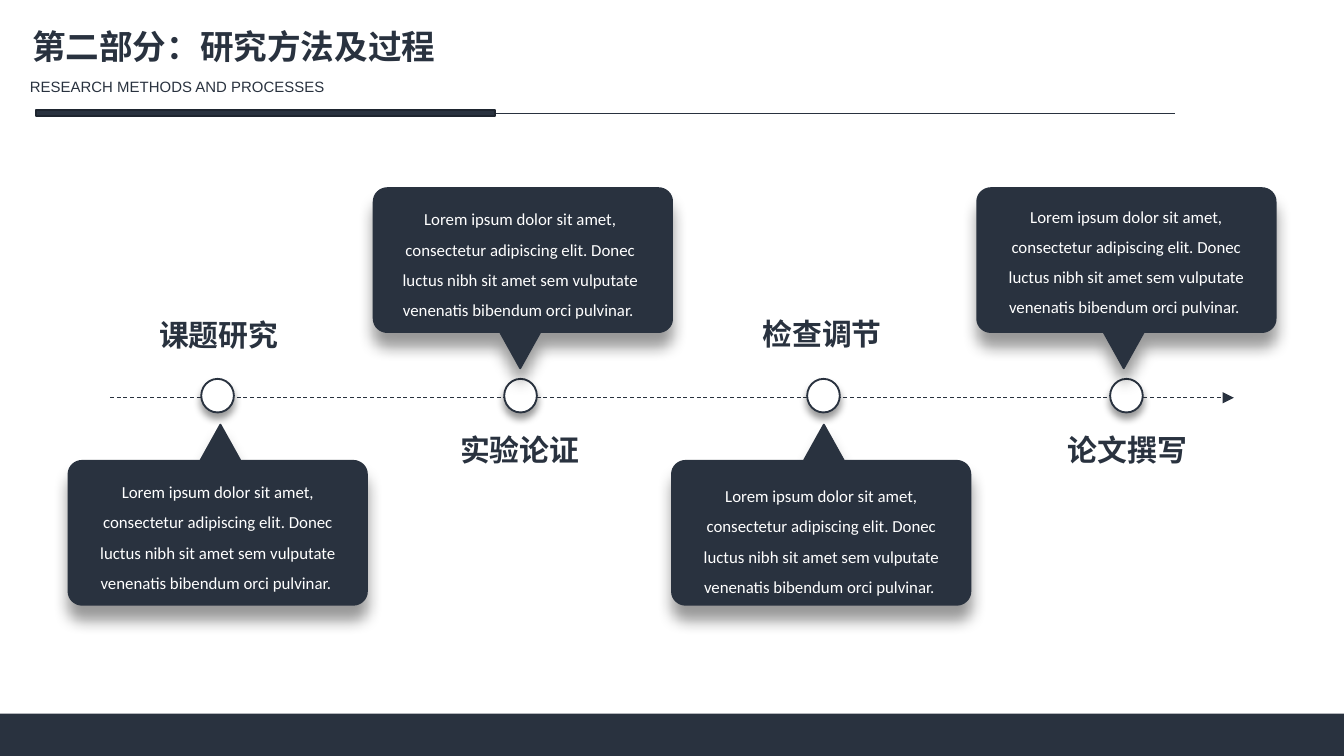
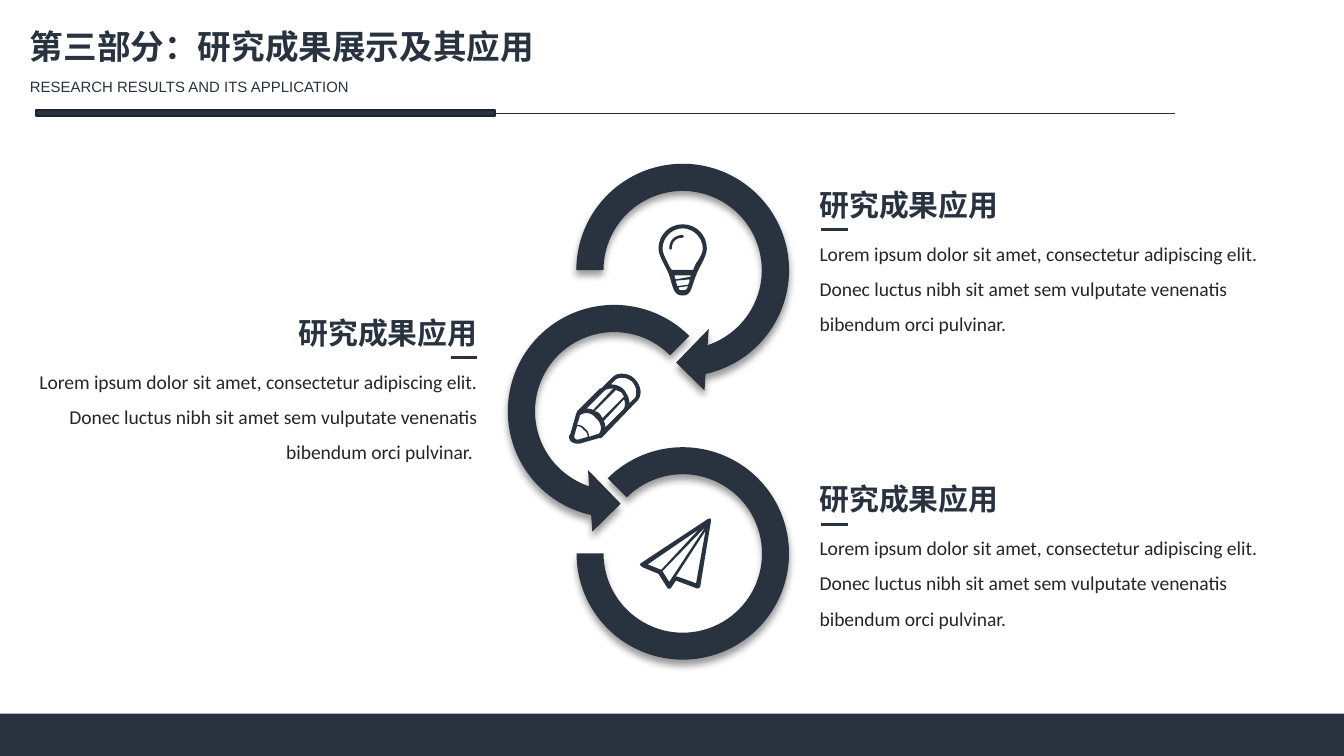
from dataclasses import dataclass
from typing import Optional

from lxml import etree
from pptx import Presentation
from pptx.dml.color import RGBColor
from pptx.enum.dml import MSO_LINE
from pptx.enum.shapes import MSO_CONNECTOR, MSO_SHAPE
from pptx.enum.text import MSO_AUTO_SIZE, PP_ALIGN
from pptx.oxml.ns import qn
from pptx.util import Pt

LEFT, CENTER, RIGHT = PP_ALIGN.LEFT, PP_ALIGN.CENTER, PP_ALIGN.RIGHT
RECTANGLE, OVAL = MSO_SHAPE.RECTANGLE, MSO_SHAPE.OVAL
CIRCULAR_ARROW = MSO_SHAPE.CIRCULAR_ARROW
LEFT_CIRCULAR_ARROW = MSO_SHAPE.LEFT_CIRCULAR_ARROW
BLOCK_ARC = MSO_SHAPE.BLOCK_ARC
STRAIGHT, DASH = MSO_CONNECTOR.STRAIGHT, MSO_LINE.DASH
GROW = MSO_AUTO_SIZE.SHAPE_TO_FIT_TEXT


@dataclass(frozen=True)
class TextStyle:
    font: str
    size: float
    color: str
    bold: bool = False
    spacing: Optional[float] = None


@dataclass(frozen=True)
class Shadow:
    blur: float
    distance: float


@dataclass(frozen=True)
class Theme:
    navy: str = "29323F"
    edge: str = "1E252F"
    white: str = "FFFFFF"
    title: TextStyle = TextStyle("Noto Sans CJK SC", 18, "29323F", True)
    subtitle: TextStyle = TextStyle("Arial", 8, "29323F")
    heading: TextStyle = TextStyle("Noto Sans CJK SC", 16, "29323F", True)
    callout: TextStyle = TextStyle("Calibri", 9, "FFFFFF", spacing=1.5)
    body: TextStyle = TextStyle("Calibri", 10.5, "262626", spacing=1.5)
    soft: Shadow = Shadow(4, 3)
    deep: Shadow = Shadow(8, 8)


@dataclass(frozen=True)
class Box:
    left: float
    top: float
    width: float
    height: float


@dataclass(frozen=True)
class Step:
    name: str
    name_left: float
    name_top: float
    text_left: float
    text_top: float


@dataclass(frozen=True)
class Ring:
    preset: int
    box: Box
    adjustments: tuple[float, ...]


@dataclass(frozen=True)
class Icon:
    left: float
    top: float
    outline: tuple[str, ...]


@dataclass(frozen=True)
class Result:
    edge: float
    top: float
    align: int
    text: str


THEME = Theme()
LOREM = ("Lorem ipsum dolor sit amet, consectetur adipiscing elit. Donec luctus nibh "
         "sit amet sem vulputate venenatis bibendum orci pulvinar.")

# Outlines: one string per contour; "x,y" is a line, "x,y:x,y:x,y" a Bézier curve
UNIT = 0.72
CURVE_STEPS = 8
CALLOUT = ("113,0 128,27 212,27 217,27:222,31:222,37 222,124 222,130:217,134:212,134 "
           "10,134 5,134:0,130:0,124 0,37 0,31:5,27:10,27 98,27",)
PLANE = (
    "42,48 28,43 27,43 49,9",
    "17,39 49,6 22,47",
    "6,34 44,8 16,38",
    "53,0 51,0 1,33 0,34 2,36 14,41 21,52 23,52 27,46 43,52 45,51 53,2",
)
PENCIL = (
    "48,19 45,22 45,18:43,15:41,12 38,9:35,8:31,8 34,5 35,4:37,3:39,3 42,3:45,4:47,6 "
    "49,8:50,11:50,13 50,15:50,18:48,19",
    "15,47 15,45:14,42:12,41 11,39:8,38:6,38 8,32 8,31 12,28:17,29:20,33 "
    "24,36:25,42:22,45 21,45",
    "7,49 6,49 5,49:4,48:4,47 4,46 6,39 8,39:10,40:11,42 13,43:14,45:14,47",
    "18,27 16,26:15,26:13,26 26,13 28,11:31,11:33,11",
    "25,33 24,32:24,31:23,30 22,29:21,28:19,28 35,12 36,13:38,13:39,14 40,15:40,16:41,17",
    "27,39 27,37:26,36:26,35 41,19 42,22:42,25:40,27 27,40",
    "49,4 46,1:43,0:39,0 36,0:34,1:32,3 24,11 23,11 6,28 6,29:5,30:5,31 1,45 "
    "1,45:0,46:0,47 0,50:3,52:6,52 7,52:8,52:8,52 22,48 23,48:24,48:25,47 50,21 "
    "55,17:54,9:49,4",
)
BULB = (
    "26,34 10,34 9,33:8,31:7,29 5,25:3,21:3,18 3,10:10,3:18,3 26,3:33,10:33,18 "
    "33,21:31,25:28,29 27,31:26,33:26,34",
    "18,49 16,49:15,49:15,47 22,46 21,49:20,49:18,49",
    "13,41 12,40:12,39:12,38 24,38 24,39",
    "22,45 14,46 14,45:13,44:13,42 23,41 23,43",
    "18,0 8,0:0,8:0,18 0,24:6,32:8,38 11,47:11,53:18,53 25,53:24,47:28,38 "
    "30,32:36,24:36,18 36,8:28,0:18,0",
    "18,8 12,8:8,12:8,18 9,19 10,18 10,13:13,10:18,10 19,9",
)

# Slide content
STEPS = (
    Step("课题研究", 77, 166.3, 36.7, 249.1),
    Step("实验论证", 238.3, 227.5, 198.7, 103),
    Step("检查调节", 400.3, 165.6, 360, 251.3),
    Step("论文撰写", 563.8, 227.5, 523.4, 101.5),
)
RINGS = (
    Ring(CIRCULAR_ARROW, Box(299.5, 78.5, 132.5, 132.5), (0.11, 11.42, 45, 108, 0.125)),
    Ring(LEFT_CIRCULAR_ARROW, Box(262.8, 154.1, 132.5, 132.5),
         (0.11, 11.42, 63, 189, 0.125)),
    Ring(BLOCK_ARC, Box(308.9, 239.6, 113.8, 113.8), (135, 108, 0.127)),
)
ICONS = (Icon(342.7, 277.9, PLANE), Icon(304.8, 200.2, PENCIL), Icon(352.8, 120.2, BULB))
RESULTS = (
    Result(432, 96.5, LEFT, LOREM),
    Result(432, 254.2, LEFT, LOREM),
    Result(262.8, 164.9, RIGHT, LOREM + " "),
)


def paint(shape, fill: str, line: Optional[str] = None, weight: float = 1,
          shadow: Optional[Shadow] = None) -> None:
    shape.fill.solid()
    shape.fill.fore_color.rgb = RGBColor.from_string(fill)
    if line:
        shape.line.color.rgb = RGBColor.from_string(line)
        shape.line.width = Pt(weight)
    else:
        shape.line.fill.background()
    shape.shadow.inherit = False
    if shadow:
        effects = shape._element.spPr.find(qn("a:effectLst"))
        outer = etree.SubElement(
            effects, qn("a:outerShdw"), blurRad=str(Pt(shadow.blur)),
            dist=str(Pt(shadow.distance)), dir="5400000", algn="t", rotWithShape="0")
        black = etree.SubElement(outer, qn("a:srgbClr"), val="000000")
        etree.SubElement(black, qn("a:alpha"), val="40000")


def add_preset(slide, preset: int, box: Box):
    return slide.shapes.add_shape(
        preset, Pt(box.left), Pt(box.top), Pt(box.width), Pt(box.height))


def add_text(slide, box: Box, text: str, style: TextStyle, align: int = LEFT,
             wrap: bool = False) -> None:
    frame = slide.shapes.add_textbox(
        Pt(box.left), Pt(box.top), Pt(box.width), Pt(box.height)).text_frame
    frame.word_wrap = wrap
    frame.auto_size = GROW
    frame.text = text
    paragraph = frame.paragraphs[0]
    paragraph.alignment = align
    if style.spacing:
        paragraph.line_spacing = style.spacing
    run = paragraph.runs[0]
    run.font.size = Pt(style.size)
    run.font.bold = style.bold
    run.font.color.rgb = RGBColor.from_string(style.color)
    run.font.name = style.font
    etree.SubElement(run._r.get_or_add_rPr(), qn("a:ea"), typeface=style.font)


def add_line(slide, start: float, end: float, y: float, weight: float):
    line = slide.shapes.add_connector(STRAIGHT, Pt(start), Pt(y), Pt(end), Pt(y))
    line.line.color.rgb = RGBColor.from_string(THEME.navy)
    line.line.width = Pt(weight)
    etree.SubElement(line._element.spPr, qn("a:effectLst"))
    return line


def flatten(contour: str) -> list[tuple[float, float]]:
    points: list[tuple[float, float]] = []
    for segment in contour.split():
        knots = [tuple(float(n) for n in knot.split(",")) for knot in segment.split(":")]
        if len(knots) == 1:
            points.append(knots[0])
            continue
        curve = [points[-1], *knots]
        for step in range(1, CURVE_STEPS + 1):
            t = step / CURVE_STEPS
            weights = ((1 - t) ** 3, 3 * t * (1 - t) ** 2, 3 * t * t * (1 - t), t ** 3)
            points.append(tuple(sum(w * knot[axis] for w, knot in zip(weights, curve))
                                for axis in (0, 1)))
    return points


def add_outline(slide, left: float, top: float, outline: tuple[str, ...]):
    builder = None
    for contour in outline:
        first, *rest = [(Pt(left + x * UNIT), Pt(top + y * UNIT))
                        for x, y in flatten(contour)]
        if builder is None:
            builder = slide.shapes.build_freeform(*first)
        else:
            builder.move_to(*first)
        builder.add_line_segments(rest, close=True)
    return builder.convert_to_shape()


def add_page(deck, title: str, title_width: float, title_align: int, subtitle: str,
             subtitle_width: float):
    slide = deck.slides.add_slide(deck.slide_layouts[6])
    # Footer band and header rule
    paint(add_preset(slide, RECTANGLE, Box(0, 382.3, 720, 22.7)), THEME.navy)
    add_line(slide, 19.4, 629.3, 60.7, 0.5)
    paint(add_preset(slide, RECTANGLE, Box(19.2, 58.8, 246.2, 3.6)), THEME.navy, THEME.edge)
    # Title and subtitle
    add_text(slide, Box(8.9, 10.4, title_width, 28.8), title, THEME.title, title_align)
    add_text(slide, Box(8.9, 38.2, subtitle_width, 17), subtitle, THEME.subtitle)
    return slide


def add_methods(deck) -> None:
    slide = add_page(deck, "第二部分：研究方法及过程", 232.6, CENTER,
                     "RESEARCH METHODS AND PROCESSES", 174.2)
    # Time axis with its nodes
    axis = add_line(slide, 59, 661, 213.1, 0.5)
    axis.line.dash_style = DASH
    etree.SubElement(axis.line._get_or_add_ln(), qn("a:tailEnd"), type="triangle")
    for index in range(len(STEPS)):
        node = add_preset(slide, OVAL, Box(107.8 + 162.3 * index, 203, 17.5, 18))
        paint(node, THEME.white, THEME.navy, shadow=THEME.soft)
    # Callouts, alternately below and above the axis
    for index, step in enumerate(STEPS):
        pair, above = divmod(index, 2)
        callout = add_outline(slide, 36.7 + 323.3 * pair + 163.5 * above,
                              100.8 if above else 227.5, CALLOUT)
        callout.rotation = 180 * above
        paint(callout, THEME.navy, THEME.navy, shadow=THEME.deep)
    # Step names and descriptions
    for step in STEPS:
        add_text(slide, Box(step.name_left, step.name_top, 79.2, 26.6), step.name,
                 THEME.heading, RIGHT)
        add_text(slide, Box(step.text_left, step.text_top, 159.8, 71.3), LOREM + " ",
                 THEME.callout, CENTER, wrap=True)


def add_results(deck) -> None:
    slide = add_page(deck, "第三部分：研究成果展示及其应用", 287.3, LEFT,
                     "RESEARCH RESULTS AND ITS APPLICATION", 189.4)
    # Chain of rings
    for ring in RINGS:
        shape = add_preset(slide, ring.preset, ring.box)
        for index, value in enumerate(ring.adjustments):
            shape.adjustments[index] = value
        paint(shape, THEME.navy, shadow=THEME.soft)
    # Result texts, set against the edge nearest the rings
    for result in RESULTS:
        flush_right = result.align == RIGHT
        for text, style, offset, width, height, wrap in (
                ("研究成果应用", THEME.heading, 0, 111.6, 26.6, False),
                (result.text, THEME.body, 23.2, 268.6, 62.6, True)):
            left = result.edge - width * flush_right
            add_text(slide, Box(left, result.top + offset, width, height), text, style,
                     result.align, wrap)
        tick = result.edge + (-21.4 if flush_right else 8.1)
        add_line(slide, tick, tick + 14.2, result.top + 26.6, 1.5)
    # Icons inside the rings
    for icon in ICONS:
        paint(add_outline(slide, icon.left, icon.top, icon.outline), THEME.navy)


def main() -> None:
    deck = Presentation()
    deck.slide_width, deck.slide_height = Pt(720), Pt(405)
    add_methods(deck)
    add_results(deck)
    deck.save("out.pptx")


if __name__ == "__main__":
    main()
